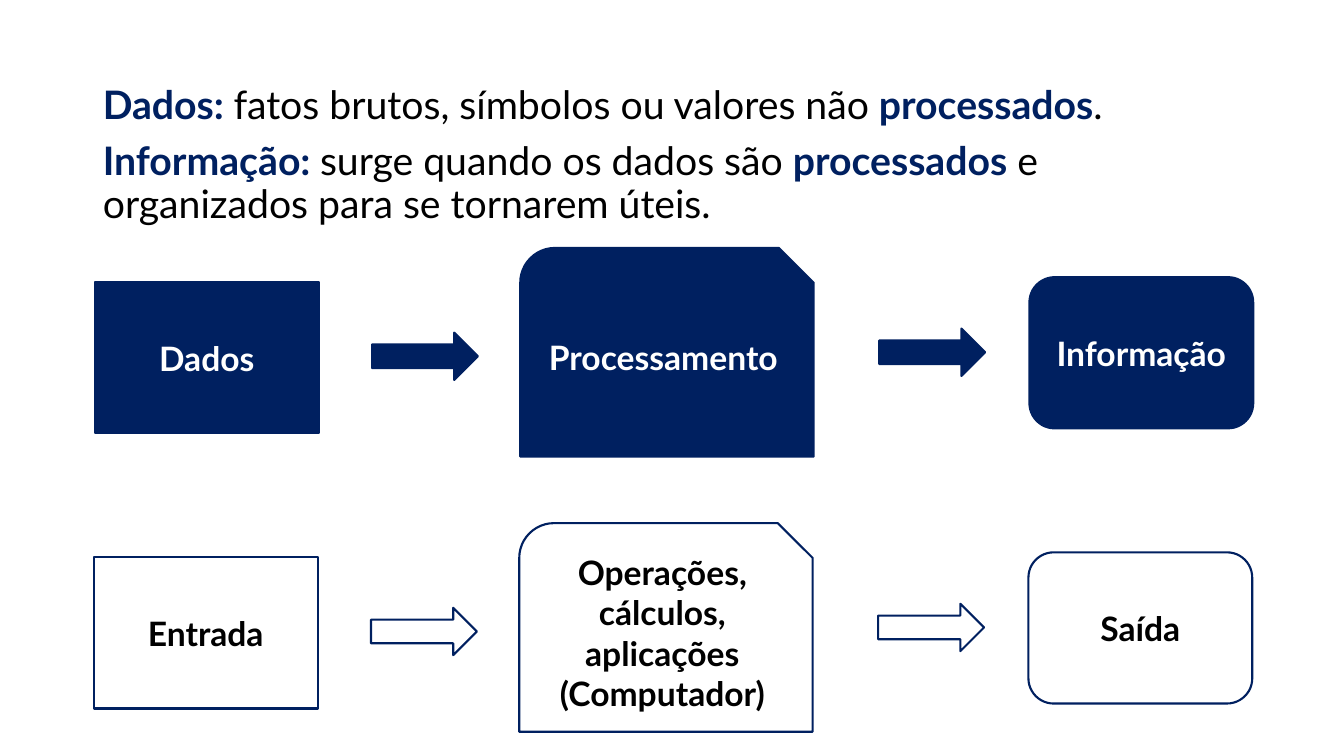
from lxml.etree import SubElement
from pptx import Presentation
from pptx.dml.color import RGBColor
from pptx.enum.shapes import MSO_SHAPE
from pptx.enum.text import MSO_ANCHOR, MSO_AUTO_SIZE, PP_ALIGN
from pptx.oxml.ns import qn
from pptx.util import Pt

PX = 9144  # 100 px to the inch
FONT = "Lato"
NAVY, BLACK, WHITE = "002060", "000000", "FFFFFF"

# Each paragraph is a list of (text, emphasised)
DEFINITIONS = [
    [("Dados: ", True), ("fatos brutos, símbolos ou valores não ", False),
     ("processados", True), (".", False)],
    [("Informação: ", True), ("surge quando os dados são ", False),
     ("processados", True), (" e organizados para se tornarem úteis.", False)],
]

# Preset shape, left, top, width, height
FLOW = [
    (MSO_SHAPE.RECTANGLE, 94, 280, 222, 150),
    (MSO_SHAPE.RIGHT_ARROW, 369, 330, 105, 47),
    (MSO_SHAPE.SNIP_ROUND_RECTANGLE, 516, 246, 291, 207),
    (MSO_SHAPE.RIGHT_ARROW, 872, 326, 105, 47),
    (MSO_SHAPE.ROUNDED_RECTANGLE, 1021, 275, 222, 150),
]

# Labels in flow order, shift right, shift down, fill, text colour
ROWS = [
    (["Dados", "", "Processamento", "", "Informação"], 0, 0, NAVY, WHITE),
    (["Entrada", "", "Operações, cálculos, aplicações\n(Computador)", "", "Saída"],
     -1, 273, None, BLACK),
]


def color(hex_string):
    return RGBColor.from_string(hex_string)


def style_font(font, size, hex_string, bold):
    font.name = FONT
    font.size = Pt(size)
    font.bold = bold
    font.color.rgb = color(hex_string)


def write_definitions(slide):
    body = slide.placeholders[1]
    body.left, body.top, body.width, body.height = (
        92 * PX, 80 * PX, 1150 * PX, 215 * PX)
    frame = body.text_frame
    frame.auto_size = MSO_AUTO_SIZE.NONE
    frame.vertical_anchor = MSO_ANCHOR.TOP
    for index, parts in enumerate(DEFINITIONS):
        paragraph = frame.add_paragraph() if index else frame.paragraphs[0]
        properties = paragraph._p.get_or_add_pPr()
        properties.set("marL", "0")
        properties.set("indent", "0")
        SubElement(properties, qn("a:buNone"))
        paragraph.line_spacing = 0.9
        paragraph.space_before = Pt(10 if index else 0)
        for text, emphasised in parts:
            run = paragraph.add_run()
            run.text = text
            style_font(run.font, 28, NAVY if emphasised else BLACK, emphasised)


def draw_row(slide, labels, shift_x, shift_y, fill, text_color):
    group = slide.shapes.add_group_shape()
    for label, (preset, left, top, width, height) in zip(labels, FLOW):
        shape = group.shapes.add_shape(
            preset, (left + shift_x) * PX, (top + shift_y) * PX,
            width * PX, height * PX)
        shape.shadow.inherit = False
        if fill:
            shape.fill.solid()
            shape.fill.fore_color.rgb = color(fill)
        else:
            shape.fill.background()
        shape.line.color.rgb = color(NAVY)
        shape.line.width = Pt(1.5)
        if not label:
            continue
        frame = shape.text_frame
        frame.text = label
        frame.word_wrap = True
        frame.vertical_anchor = MSO_ANCHOR.MIDDLE
        for paragraph in frame.paragraphs:
            paragraph.alignment = PP_ALIGN.CENTER
            for run in paragraph.runs:
                style_font(run.font, 24, text_color, True)


def main():
    presentation = Presentation()
    presentation.slide_width = 1333 * PX
    presentation.slide_height = 750 * PX
    slide = presentation.slides.add_slide(presentation.slide_layouts[1])
    title = slide.shapes.title.element
    title.getparent().remove(title)
    write_definitions(slide)
    for row in ROWS:
        draw_row(slide, *row)
    presentation.save("out.pptx")


if __name__ == "__main__":
    main()
